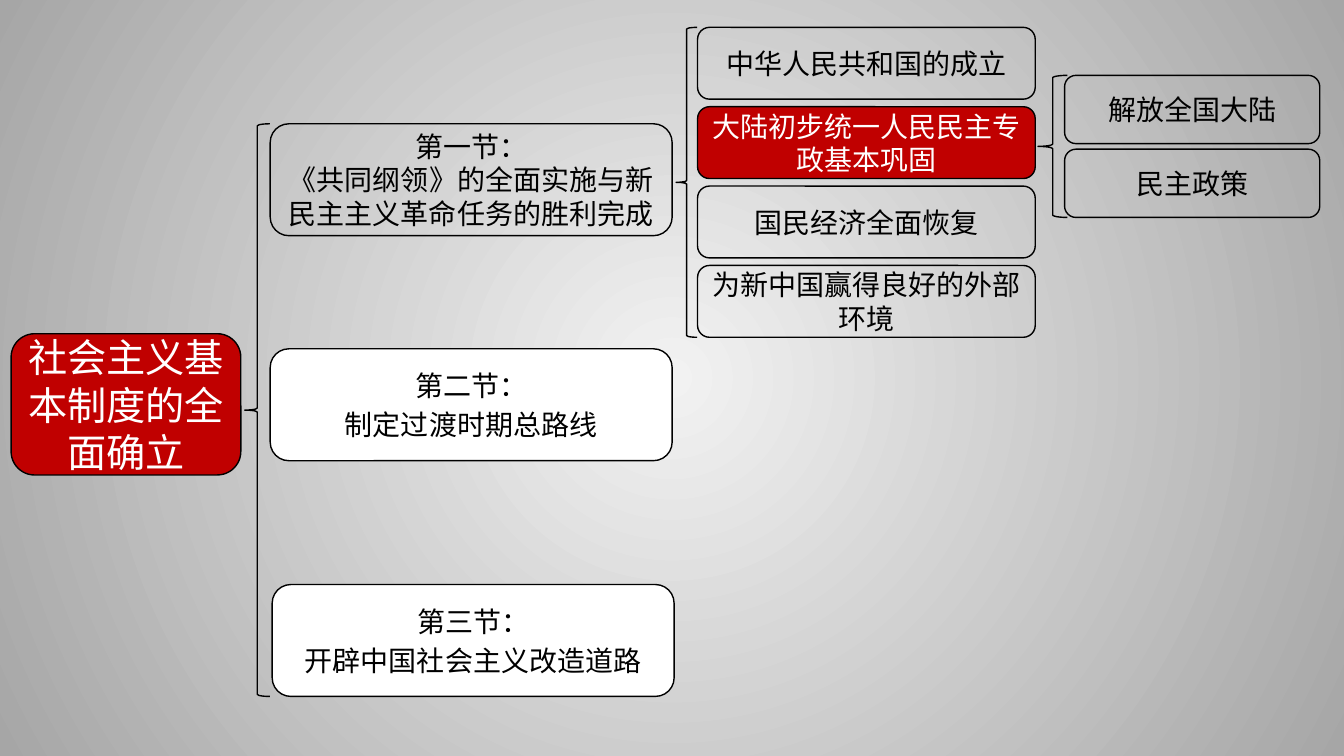
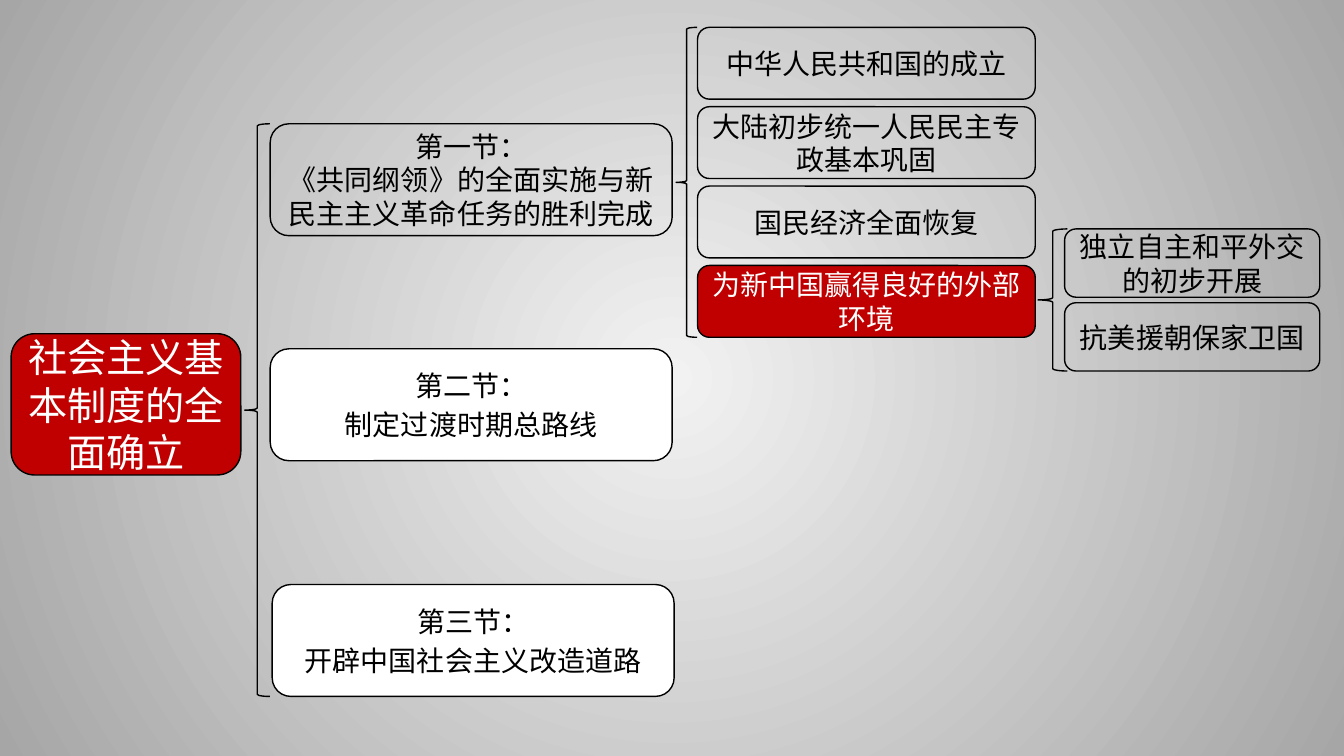
import pptx
import pptx.dml.color
import pptx.enum.shapes
import pptx.enum.text
import pptx.oxml
import pptx.oxml.ns
import pptx.util
from lxml import etree

Cm = pptx.util.Cm
Pt = pptx.util.Pt
RGBColor = pptx.dml.color.RGBColor
MSO_SHAPE = pptx.enum.shapes.MSO_SHAPE
qn = pptx.oxml.ns.qn

BLACK = RGBColor(0x00, 0x00, 0x00)
WHITE = RGBColor(0xFF, 0xFF, 0xFF)
RED = RGBColor(0xC0, 0x00, 0x00)
LIGHT_GREY = RGBColor(0xF2, 0xF2, 0xF2)
MID_GREY = RGBColor(0xA6, 0xA6, 0xA6)
FONT = "Noto Sans CJK SC"

FRAME_FORMAT = {
    "word_wrap": True,
    "vertical_anchor": pptx.enum.text.MSO_ANCHOR.MIDDLE,
    "margin_left": Cm(0.2),
    "margin_right": Cm(0.2),
}

ROOT = "社会主义基本制度的全面确立"
# left, top, fill, space between heading and title, lines
SECTIONS = [
    (6.81, 3.12, None, 0, ["第一节：", "《共同纲领》的全面实施与新民主主义革命任务的胜利完成"]),
    (6.81, 8.79, WHITE, 4, ["第二节：", "制定过渡时期总路线"]),
    (6.86, 14.73, WHITE, 4, ["第三节：", "开辟中国社会主义改造道路"]),
]
TOPICS = [
    "中华人民共和国的成立",
    "大陆初步统一人民民主专政基本巩固",
    "国民经济全面恢复",
    "为新中国赢得良好的外部环境",
]
# highlighted topic, top of its details, details
SLIDES = [
    (1, 1.9, ["解放全国大陆", "民主政策"]),
    (3, 5.77, ["独立自主和平外交的初步开展", "抗美援朝保家卫国"]),
]

SECTION_HEIGHT = 2.82
TOPIC_TOP, TOPIC_HEIGHT, TOPIC_PITCH = 0.69, 1.81, 2.0
DETAIL_HEIGHT, DETAIL_PITCH = 1.72, 1.86


def add_outline(slide, preset, box, fill=None):
    """Add a black-outlined shape; box is left, top, width, height in cm."""
    outline = slide.shapes.add_shape(preset, *(Cm(length) for length in box))
    outline.shadow.inherit = False
    outline.line.color.rgb = BLACK
    outline.line.width = Pt(1)
    if fill is None:
        outline.fill.background()
    else:
        outline.fill.solid()
        outline.fill.fore_color.rgb = fill
    return outline


def add_node(slide, box, lines, fill=None, size=20, gap=0):
    """Add a rounded box of centred lines, white on red or else black."""
    frame = add_outline(slide, MSO_SHAPE.ROUNDED_RECTANGLE, box, fill).text_frame
    for name, value in FRAME_FORMAT.items():
        setattr(frame, name, value)
    for number, line in enumerate(lines):
        paragraph = frame.add_paragraph() if number else frame.paragraphs[0]
        paragraph.alignment = pptx.enum.text.PP_ALIGN.CENTER
        if number and gap:
            paragraph.space_before = Pt(gap)
        run = paragraph.add_run()
        run.text = line
        for name, value in {"size": Pt(size), "name": FONT}.items():
            setattr(run.font, name, value)
        run.font.color.rgb = WHITE if fill == RED else BLACK
        etree.SubElement(run._r.get_or_add_rPr(), qn("a:ea"), typeface=FONT)


prs = pptx.Presentation()
prs.slide_width, prs.slide_height = Cm(33.87), Cm(19.05)

# Radial grey background, shared through the master
backdrop = prs.slide_master.background.fill
backdrop.gradient()
for stop, position, colour in zip(backdrop.gradient_stops, (0, 1), (LIGHT_GREY, MID_GREY)):
    stop.position = position
    stop.color.rgb = colour
gradient = prs.slide_master.element.find(".//" + qn("a:gradFill"))
gradient.remove(gradient.find(qn("a:lin")))
circle = etree.SubElement(gradient, qn("a:path"), path="circle")
etree.SubElement(circle, qn("a:fillToRect"), l="50000", t="50000", r="50000", b="50000")

for current_topic, details_top, details in SLIDES:
    slide = prs.slides.add_slide(prs.slide_layouts[6])

    add_node(slide, (0.28, 8.41, 5.79, 3.56), [ROOT], RED, size=28)

    sections_top = SECTIONS[0][1]
    sections_span = SECTIONS[-1][1] + SECTION_HEIGHT - sections_top
    add_outline(slide, MSO_SHAPE.LEFT_BRACE, (6.17, sections_top, 0.63, sections_span))
    for left, top, fill, gap, lines in SECTIONS:
        add_node(slide, (left, top, 10.13, SECTION_HEIGHT), lines, fill, gap=gap)

    topics_span = TOPIC_PITCH * (len(TOPICS) - 1) + TOPIC_HEIGHT
    add_outline(slide, MSO_SHAPE.LEFT_BRACE, (17.04, TOPIC_TOP, 0.53, topics_span))
    for number, topic in enumerate(TOPICS):
        top = TOPIC_TOP + number * TOPIC_PITCH
        fill = RED if number == current_topic else None
        add_node(slide, (17.58, top, 8.51, TOPIC_HEIGHT), [topic], fill)

    details_span = DETAIL_PITCH * (len(details) - 1) + DETAIL_HEIGHT
    add_outline(slide, MSO_SHAPE.LEFT_BRACE, (26.16, details_top, 0.74, details_span))
    for number, detail in enumerate(details):
        top = details_top + number * DETAIL_PITCH
        add_node(slide, (26.83, top, 6.43, DETAIL_HEIGHT), [detail])

prs.save("out.pptx")
